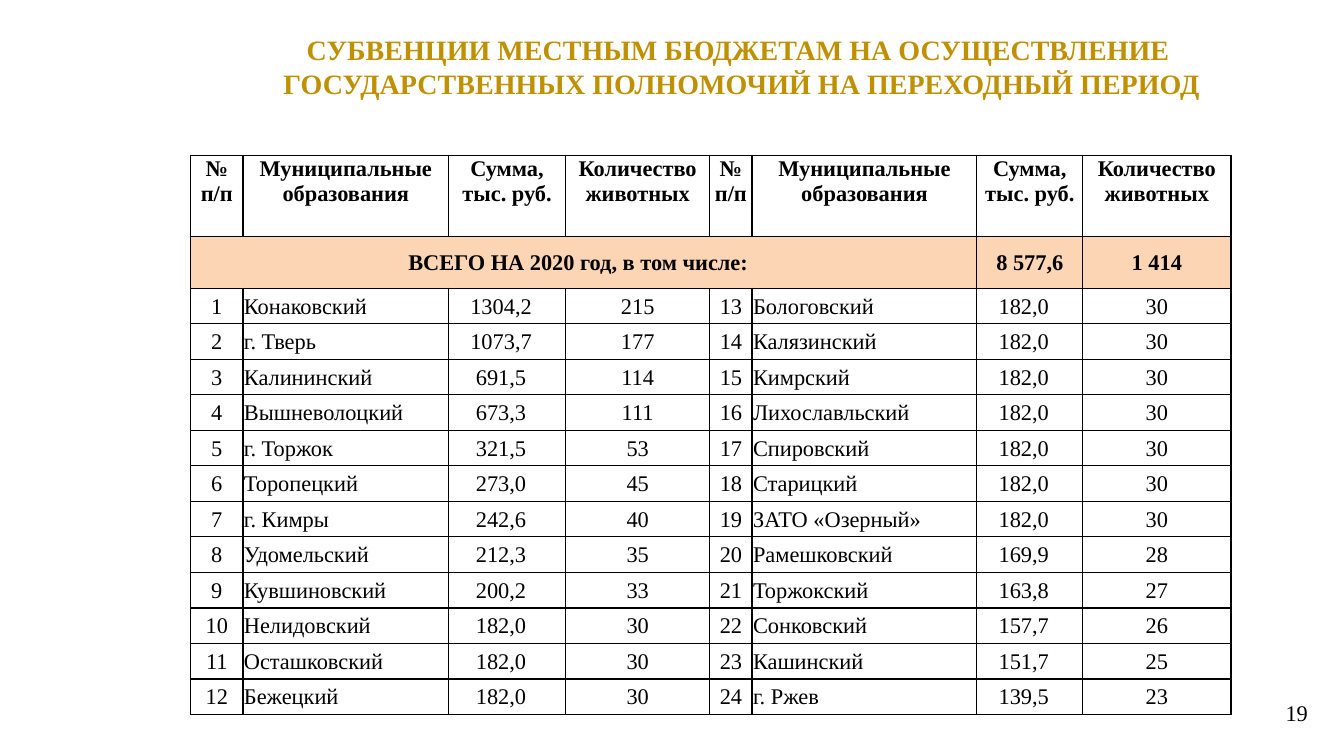
from lxml.etree import SubElement as Sub
from pptx import Presentation
from pptx.dml.color import RGBColor as RGB
from pptx.enum.text import MSO_ANCHOR as Anchor, PP_ALIGN as Align
from pptx.oxml.ns import qn
from pptx.util import Inches, Pt

GOLD = RGB(0xBF, 0x90, 0x00)
PEACH = RGB(0xFC, 0xD5, 0xB5)
WHITE = RGB(0xFF, 0xFF, 0xFF)
BLACK = RGB(0x00, 0x00, 0x00)

COLS = [0.52, 2.04, 1.16, 1.43, 0.42, 2.23, 1.05, 1.47]
HEADS = ["№\nп/п", "Муниципальные образования", "Сумма,\nтыс. руб.", "Количество животных"]
TOTAL = {0: "ВСЕГО НА 2020 год, в том числе:", 6: "8 577,6", 7: "1 414"}
AREAS = [
    ("Конаковский", "1304,2", 215), ("г. Тверь", "1073,7", 177),
    ("Калининский", "691,5", 114), ("Вышневолоцкий", "673,3", 111),
    ("г. Торжок", "321,5", 53), ("Торопецкий", "273,0", 45),
    ("г. Кимры", "242,6", 40), ("Удомельский", "212,3", 35),
    ("Кувшиновский", "200,2", 33), ("Нелидовский", "182,0", 30),
    ("Осташковский", "182,0", 30), ("Бежецкий", "182,0", 30),
    ("Бологовский", "182,0", 30), ("Калязинский", "182,0", 30),
    ("Кимрский", "182,0", 30), ("Лихославльский", "182,0", 30),
    ("Спировский", "182,0", 30), ("Старицкий", "182,0", 30),
    ("ЗАТО «Озерный»", "182,0", 30), ("Рамешковский", "169,9", 28),
    ("Торжокский", "163,8", 27), ("Сонковский", "157,7", 26),
    ("Кашинский", "151,7", 25), ("г. Ржев", "139,5", 23),
]
HALF = len(AREAS) // 2


class Page:
    """Draws text and tables on one slide in a shared style."""

    def __init__(self, slide, face="Times New Roman"):
        self.slide = slide
        self.face = face

    def style(self, para, text, align, size=16, color=BLACK, bold=False):
        para.text = text
        para.alignment = align
        font = para.font
        font.name, font.size, font.bold = self.face, Pt(size), bold
        font.color.rgb = color

    def text(self, box, lines, align, **look):
        frame = self.slide.shapes.add_textbox(*map(Inches, box)).text_frame
        frame.word_wrap = True
        frame.vertical_anchor = Anchor.MIDDLE
        for i, line in enumerate(lines):
            para = frame.add_paragraph() if i else frame.paragraphs[0]
            self.style(para, line, align, **look)

    def edge(self, cell):
        props = cell._tc.get_or_add_tcPr()
        for i, side in enumerate("LRTB"):
            line = Sub(props, qn(f"a:ln{side}"), w=str(Pt(1)))
            fill = Sub(line, qn("a:solidFill"))
            Sub(fill, qn("a:srgbClr"), val=str(BLACK))
            props.insert(i, line)

    def cell(self, cell, text, fill=None, align=Align.CENTER, right=0.01,
             anchor=Anchor.MIDDLE, bold=False):
        cell.margin_left = cell.margin_top = Inches(0.01)
        cell.margin_right, cell.margin_bottom = Inches(right), 0
        cell.vertical_anchor = anchor
        if fill is None:
            cell.fill.background()
        else:
            cell.fill.solid()
            cell.fill.fore_color.rgb = fill
        self.edge(cell)
        self.style(cell.text_frame.paragraphs[0], text, align, bold=bold)

    def table(self, box, cols, rows):
        frame = self.slide.shapes.add_table(len(rows), len(cols), *map(Inches, box))
        grid = frame.table
        grid.first_row = grid.horz_banding = False
        for col, width in zip(grid.columns, cols):
            col.width = Inches(width)
        for row, height in zip(grid.rows, rows):
            row.height = Inches(height)
        return grid


def main():
    deck = Presentation()
    deck.slide_width, deck.slide_height = Inches(13.33), Inches(7.5)
    page = Page(deck.slides.add_slide(deck.slide_layouts[6]))
    page.text((1.38, 0.09, 11.95, 1.14),
              ["СУБВЕНЦИИ МЕСТНЫМ БЮДЖЕТАМ НА ОСУЩЕСТВЛЕНИЕ ",
               "ГОСУДАРСТВЕННЫХ ПОЛНОМОЧИЙ НА ПЕРЕХОДНЫЙ ПЕРИОД"],
              Align.CENTER, size=20, color=GOLD, bold=True)

    high, total = 0.81, 0.51
    step = (5.55 - high - total) / HALF
    grid = page.table((1.89, 1.54, 10.31, 5.55), COLS, [high, total] + [step] * HALF)
    for col, head in enumerate(HEADS * 2):
        page.cell(grid.cell(0, col), head, anchor=Anchor.TOP, bold=True)
    for col in range(len(COLS)):
        page.cell(grid.cell(1, col), TOTAL.get(col, ""), PEACH, bold=True,
                  right=0.01 if col else 0.12)
    grid.cell(1, 0).merge(grid.cell(1, 5))

    for i, (name, money, count) in enumerate(AREAS):
        side, row = divmod(i, HALF)
        for j, text in enumerate([str(i + 1), name, money, str(count)]):
            page.cell(grid.cell(row + 2, side * 4 + j), text, WHITE,
                      align=Align.LEFT if j == 1 else Align.CENTER,
                      right=0.13 if j == 2 else 0.01)

    page.text((9.96, 6.81, 3.11, 0.52), ["19"], Align.RIGHT)
    deck.save("out.pptx")


if __name__ == "__main__":
    main()
